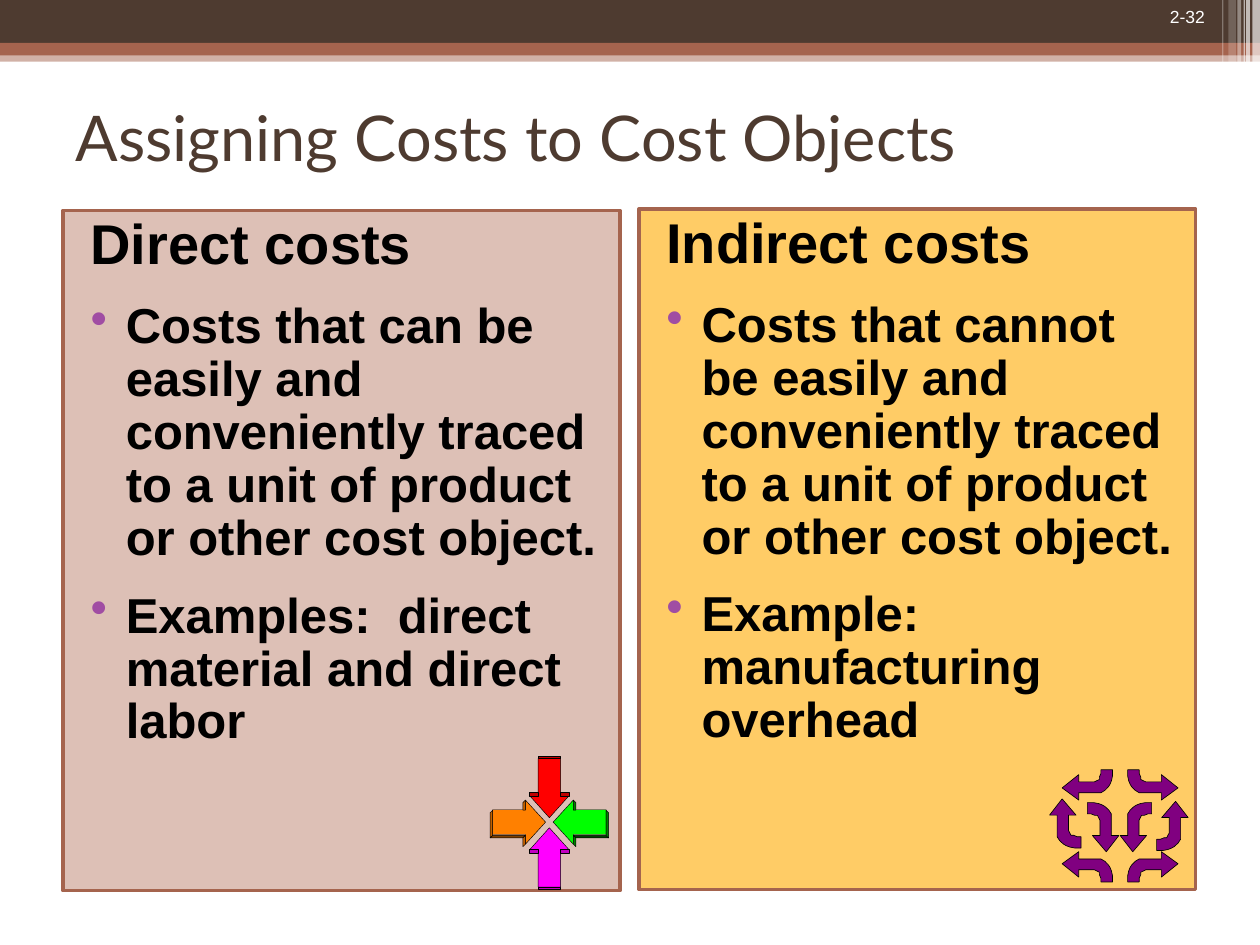
"""Build the slide on assigning direct and indirect costs to cost objects."""
from lxml import etree
from pptx import Presentation
from pptx.dml.color import RGBColor
from pptx.enum.shapes import MSO_SHAPE
from pptx.enum.text import MSO_ANCHOR, MSO_AUTO_SIZE, PP_ALIGN
from pptx.oxml.ns import qn
from pptx.util import Cm, Pt

RECTANGLE = MSO_SHAPE.RECTANGLE
TOP, MIDDLE = MSO_ANCHOR.TOP, MSO_ANCHOR.MIDDLE
LEFT, RIGHT = PP_ALIGN.LEFT, PP_ALIGN.RIGHT
NO_AUTOFIT = MSO_AUTO_SIZE.NONE

COLORS = {
    "brown": "4E3B30", "rust": "A5644E", "white": "FFFFFF", "black": "000000",
    "rose": "DDC0B6", "amber": "FFCC66", "bullet": "A04DA3", "purple": "800080",
    "magenta": "FF00FF", "magenta shade": "C000C0",
    "red": "FF0000", "red shade": "C00000",
    "orange": "FF8000", "orange shade": "C06000", "orange dark": "804000",
    "green": "00FF00", "green shade": "008000", "green dark": "004000",
}

STRAIGHT_ARROW = [(0.22, 0), (0.78, 0), (0.78, 0.62), (1, 0.62), (0.5, 1),
                  (0, 0.62), (0.22, 0.62)]
BENT_ARROW = [(1, 0.67), (0.6, 1), (0.16, 0.67), (0.4, 0.67), (0.4, 0.36),
              (0.36, 0.31), (0.32, 0.26), (0.24, 0.26), (0.12, 0.23), (0, 0.23),
              (0, 0), (0.2, 0), (0.36, 0.02), (0.48, 0.05), (0.56, 0.08),
              (0.68, 0.15), (0.76, 0.23), (0.76, 0.36), (0.76, 0.67)]


def inches(value):
    return Cm(value * 2.54)


def turned(outline, box, flip_x=False, flip_y=False, sideways=False):
    left, top, width, height = box
    points = []
    for x, y in outline:
        x, y = (y, x) if sideways else (x, y)
        x, y = 1 - x if flip_x else x, 1 - y if flip_y else y
        points.append((left + x * width, top + y * height))
    return points


class SlideBuilder:
    def __init__(self, slide, font="Arial", title_font="Lato"):
        self.slide = slide
        self.font = font
        self.title_font = title_font

    def color(self, name):
        return RGBColor.from_string(COLORS[name])

    def style(self, shape, fill, line=None, weight=0.25, alpha=None):
        shape.shadow.inherit = False
        shape.fill.solid()
        shape.fill.fore_color.rgb = self.color(fill)
        if alpha is not None:
            tint = shape._element.spPr.find(".//" + qn("a:srgbClr"))
            etree.SubElement(tint, qn("a:alpha")).set("val", str(alpha * 1000))
        if line:
            shape.line.color.rgb = self.color(line)
            shape.line.width = Pt(weight)
        else:
            shape.line.fill.background()
        return shape

    def rect(self, box, fill, line=None, weight=0.25, alpha=None, group=None):
        shapes = (group or self.slide).shapes
        shape = shapes.add_shape(RECTANGLE, *map(inches, box))
        return self.style(shape, fill, line, weight, alpha)

    def polygon(self, points, fill, group, weight=0.25):
        start, *rest = [(inches(x), inches(y)) for x, y in points]
        outline = group.shapes.build_freeform(*start, scale=1.0)
        outline.add_line_segments(rest, close=True)
        return self.style(outline.convert_to_shape(), fill, "black", weight)

    def group(self):
        return self.slide.shapes.add_group_shape()

    def set_text(self, paragraph, text, size, color, font=None, bold=False, align=LEFT):
        paragraph.text = text
        paragraph.alignment = align
        paragraph.font.name = font or self.font
        paragraph.font.size = Pt(size)
        paragraph.font.bold = bold
        paragraph.font.color.rgb = self.color(color)

    def title(self, text, box):
        title = self.slide.shapes.title
        title.left, title.top, title.width, title.height = map(inches, box)
        frame = title.text_frame
        frame.word_wrap = True
        frame.auto_size = NO_AUTOFIT
        frame.vertical_anchor = MIDDLE
        self.set_text(frame.paragraphs[0], text, 36, "brown", self.title_font)

    def page_number(self, text, box):
        frame = self.slide.shapes.add_textbox(*map(inches, box)).text_frame
        frame.word_wrap = True
        self.set_text(frame.paragraphs[0], text, 10, "white", align=RIGHT)

    def indent(self, paragraph, bulleted):
        paragraph.line_spacing = 0.9
        properties = paragraph._p.get_or_add_pPr()
        properties.set("marL", str(inches(0.4)))
        properties.set("indent", str(inches(-0.28)))
        if bulleted:
            paragraph.space_before = Pt(14)
            tint = etree.SubElement(properties, qn("a:buClr"))
            etree.SubElement(tint, qn("a:srgbClr")).set("val", COLORS["bullet"])
            etree.SubElement(properties, qn("a:buChar")).set("char", "•")

    def panel(self, box, fill, heading, points):
        frame = self.rect(box, fill, "rust", 2).text_frame
        frame.word_wrap = True
        frame.vertical_anchor = TOP
        first = frame.paragraphs[0]
        self.indent(first, bulleted=False)
        self.set_text(first, heading, 32, "black", bold=True)
        for point in points:
            paragraph = frame.add_paragraph()
            self.indent(paragraph, bulleted=True)
            self.set_text(paragraph, point, 28, "black", bold=True)

    def header(self):
        self.rect((0, 0.4, 10, 0.09), "rust", alpha=50)
        self.rect((0, 0, 10, 0.34), "brown")
        self.rect((0, 0.34, 10, 0.1), "rust")
        for left, width, height, alpha in [
                (9.94, 0.06, 0.68, 65), (9.89, 0.03, 0.68, 65), (9.87, 0.01, 0.68, 60),
                (9.82, 0.03, 0.68, 40), (9.75, 0.06, 0.64, 20), (9.7, 0.01, 0.64, 30)]:
            self.rect((left, 0, width, height), "white", alpha=alpha)

    def vertical_arrow(self, group, color, top, flip_y, bar_top, notch_top):
        arrow = turned(STRAIGHT_ARROW, (4.2, top, 0.32, 0.47), flip_y=flip_y)
        self.polygon(arrow, color, group)
        shade = color + " shade"
        self.rect((4.27, bar_top, 0.18, 0.02), shade, "black", group=group)
        for left in (4.2, 4.45):
            self.rect((left, notch_top, 0.07, 0.03), shade, "black", group=group)

    def side_arrow(self, group, color, mirrored):
        faces = [
            (color, turned(STRAIGHT_ARROW, (3.91, 6.35, 0.42, 0.35), sideways=True)),
            (color + " dark", [(4.15, 6.65), (4.17, 6.63), (3.91, 6.63), (3.89, 6.65)]),
            (color + " shade", [(4.15, 6.65), (4.17, 6.63), (4.17, 6.7), (4.15, 6.72)]),
            (color + " shade", [(3.89, 6.45), (3.91, 6.43), (3.91, 6.63), (3.89, 6.65)]),
            (color + " shade", [(4.15, 6.43), (4.17, 6.43), (4.17, 6.35), (4.15, 6.37)]),
        ]
        axis = 4.36
        for fill, face in faces:
            points = [(2 * axis - x, y) for x, y in face] if mirrored else face
            self.polygon(points, fill, group)

    def converging_arrows(self):
        group = self.group()
        self.vertical_arrow(group, "magenta", 6.57, True, 7.04, 6.74)
        self.side_arrow(group, "orange", mirrored=False)
        self.side_arrow(group, "green", mirrored=True)
        self.vertical_arrow(group, "red", 6.02, False, 6, 6.29)

    def scattered_arrows(self):
        group = self.group()
        for left, top, flip_x, flip_y, sideways in [
                (8.63, 6.37, False, False, False), (8.89, 6.37, True, False, False),
                (8.43, 6.11, True, False, True), (8.95, 6.11, False, False, True),
                (9.18, 6.36, False, True, False), (8.33, 6.34, True, True, False),
                (8.43, 6.76, True, True, True), (8.95, 6.76, False, True, True)]:
            size = (0.4, 0.24) if sideways else (0.25, 0.39)
            points = turned(BENT_ARROW, (left, top, *size), flip_x, flip_y, sideways)
            self.polygon(points, "purple", group, 0.37)


def main():
    deck = Presentation()
    deck.slide_width, deck.slide_height = inches(10), inches(7.5)
    builder = SlideBuilder(deck.slides.add_slide(deck.slide_layouts[5]))
    builder.header()
    builder.page_number("2-32", (8.58, 0, 1.08, 0.27))
    builder.title("Assigning Costs to Cost Objects", (0.5, 0.5, 9, 1.17))
    builder.panel((0.5, 1.67, 4.42, 5.4), "rose", "Direct costs", [
        "Costs that can be\neasily and conveniently traced to a unit of product "
        "or other cost object.",
        "Examples:  direct material and direct labor"])
    builder.panel((5.07, 1.66, 4.42, 5.4), "amber", "Indirect costs", [
        "Costs that cannot be easily and conveniently traced to a unit of product "
        "or other cost object.",
        "Example: manufacturing overhead"])
    builder.converging_arrows()
    builder.scattered_arrows()
    deck.save("out.pptx")


if __name__ == "__main__":
    main()
